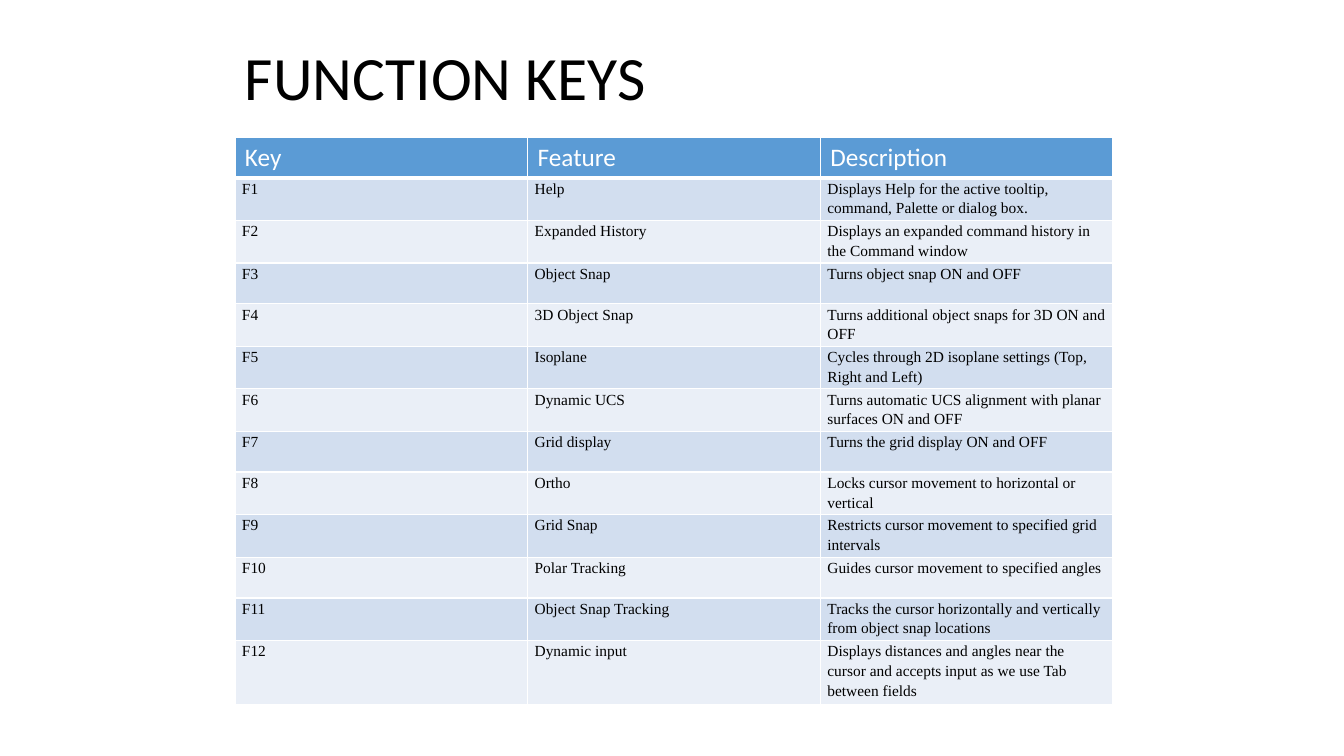
from lxml.etree import SubElement
from pptx import Presentation
from pptx.dml.color import RGBColor
from pptx.enum.text import MSO_ANCHOR
from pptx.oxml.ns import qn
from pptx.util import Inches, Pt

WHITE, BLACK = "FFFFFF", "000000"
HEADER_FILL = "5B9BD5"
BAND_FILLS = ("D2DEEF", "EAEFF7")

HEADINGS = ("Key", "Feature", "Description")
FUNCTION_KEYS = [
    ("Help", "Displays Help for the active tooltip, command, Palette or dialog box."),
    ("Expanded History", "Displays an expanded command history in the Command window"),
    ("Object Snap", "Turns object snap ON and OFF"),
    ("3D Object Snap", "Turns additional object snaps for 3D ON and OFF"),
    ("Isoplane", "Cycles through 2D isoplane settings (Top, Right and Left)"),
    ("Dynamic UCS", "Turns automatic UCS alignment with planar surfaces ON and OFF"),
    ("Grid display", "Turns the grid display ON and OFF"),
    ("Ortho", "Locks cursor movement to horizontal or vertical"),
    ("Grid Snap", "Restricts cursor movement to specified grid intervals"),
    ("Polar Tracking", "Guides cursor movement to specified angles"),
    ("Object Snap Tracking",
     "Tracks the cursor horizontally and vertically from object snap locations"),
    ("Dynamic input",
     "Displays distances and angles near the cursor and accepts input as we use Tab "
     "between fields"),
]


def rgb(color):
    return RGBColor.from_string(color)


def write(tf, text, size, font="Calibri", color=BLACK, spacing=1.0):
    p = tf.paragraphs[0]
    p.line_spacing = spacing
    r = p.add_run()
    r.text = text
    r.font.size = Pt(size)
    r.font.name = font
    r.font.bold = False
    r.font.color.rgb = rgb(color)


def add_title(slide, text):
    sp = slide.shapes.add_textbox(Inches(2.33), Inches(0.42), Inches(8.71), Inches(0.76))
    tf = sp.text_frame
    tf.word_wrap = True
    tf.vertical_anchor = MSO_ANCHOR.MIDDLE
    write(tf, text, size=44, spacing=0.9)


def set_borders(cell, **widths):
    """Draw white cell edges; widths in points are keyed L, R, T and B."""
    tc_pr = cell._tc.get_or_add_tcPr()
    for side, width in widths.items():
        ln = SubElement(tc_pr, qn(f"a:ln{side}"), w=str(Pt(width)))
        fill = SubElement(ln, qn("a:solidFill"))
        SubElement(fill, qn("a:srgbClr"), val=WHITE)


def fill_cell(cell, color):
    cell.fill.solid()
    cell.fill.fore_color.rgb = rgb(color)


def format_header_cell(cell, text):
    set_borders(cell, L=1, R=1, T=1, B=3)
    fill_cell(cell, HEADER_FILL)
    write(cell.text_frame, text, size=18, color=WHITE)


def format_body_cell(cell, text, row):
    set_borders(cell, L=1, R=1, T=3 if row == 1 else 1, B=1)
    fill_cell(cell, BAND_FILLS[(row - 1) % 2])
    cell.margin_left = cell.margin_right = Inches(0.07)
    cell.margin_top = cell.margin_bottom = 0
    write(cell.text_frame, text, size=11, font="Times New Roman", spacing=1.15)


def add_key_table(slide):
    table = slide.shapes.add_table(
        len(FUNCTION_KEYS) + 1, len(HEADINGS),
        Inches(2.33), Inches(1.36), Inches(8.71), Inches(5.27)).table
    for col, heading in enumerate(HEADINGS):
        format_header_cell(table.cell(0, col), heading)
    for row, (feature, description) in enumerate(FUNCTION_KEYS, 1):
        for col, text in enumerate((f"F{row}", feature, description)):
            format_body_cell(table.cell(row, col), text, row)


def main():
    prs = Presentation()
    prs.slide_width, prs.slide_height = Inches(13.33), Inches(7.5)
    slide = prs.slides.add_slide(prs.slide_layouts[6])
    add_title(slide, "FUNCTION KEYS")
    add_key_table(slide)
    prs.save("out.pptx")


if __name__ == "__main__":
    main()
